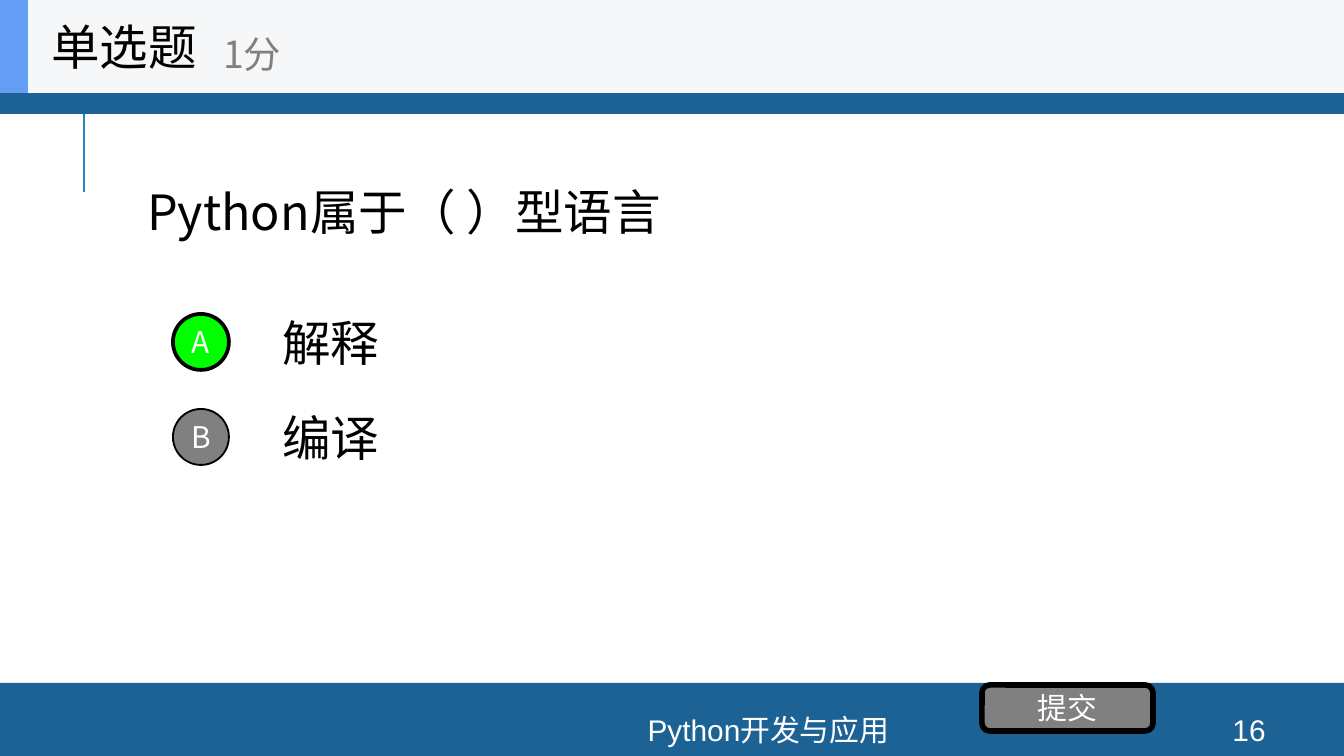
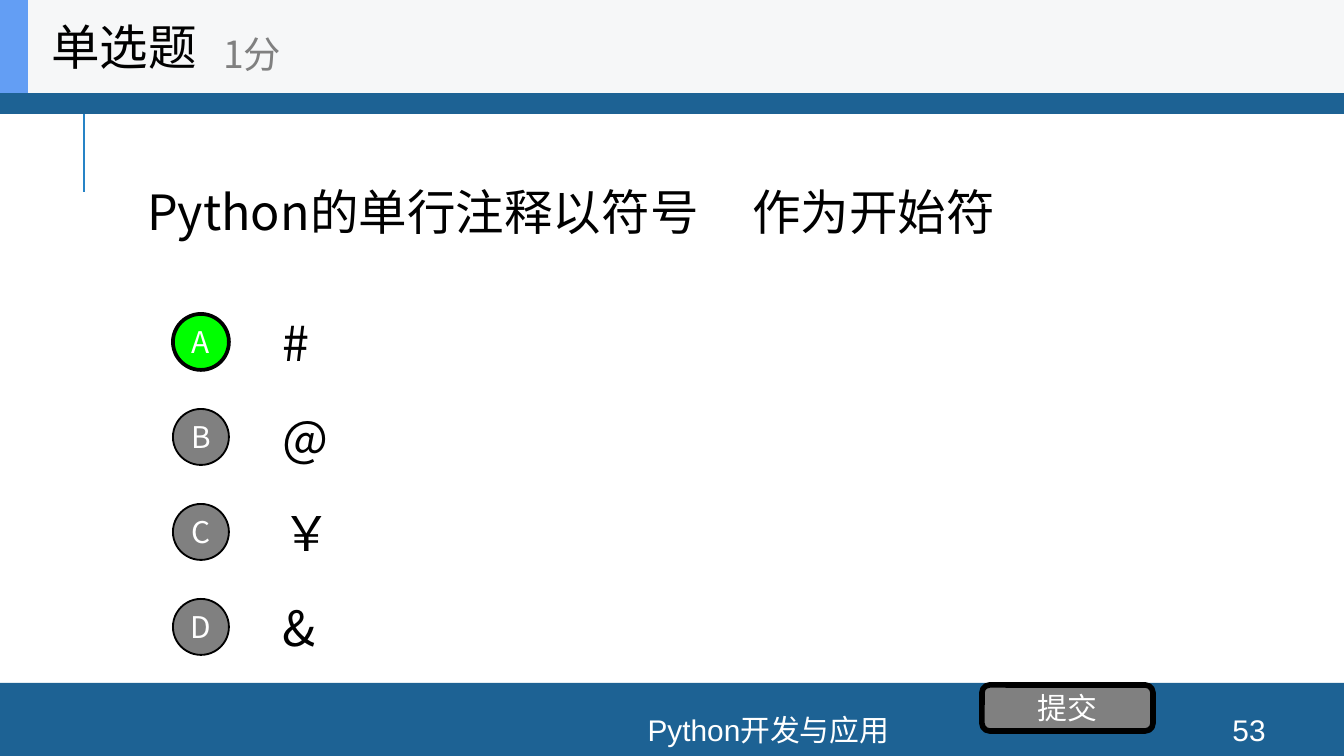
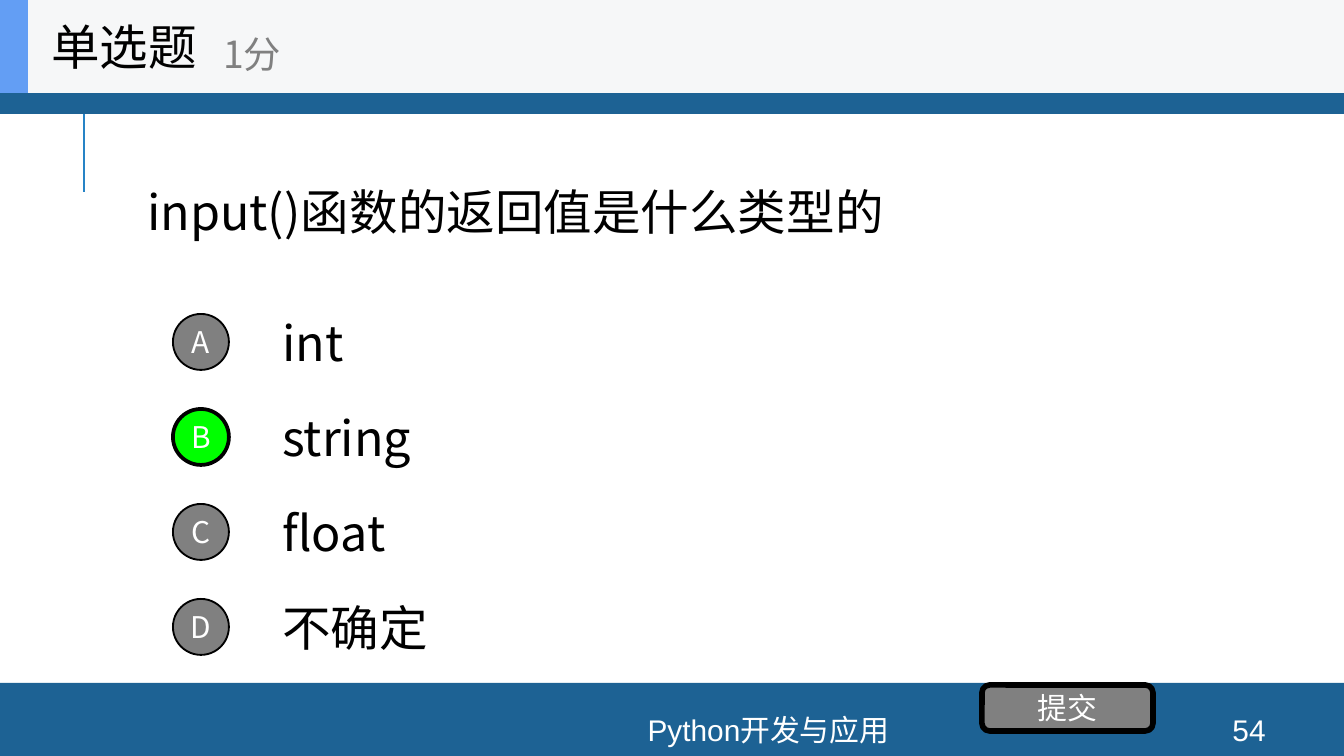
from dataclasses import dataclass

from lxml.etree import SubElement
from pptx import Presentation
from pptx.dml.color import RGBColor
from pptx.enum.shapes import MSO_CONNECTOR, MSO_SHAPE
from pptx.enum.text import MSO_ANCHOR, PP_ALIGN
from pptx.oxml.ns import qn
from pptx.util import Emu, Pt

EMU_PER_PX = 914400 / 134.4
WIDTH, HEIGHT = 1344, 756


def px(length):
    return Emu(round(length * EMU_PER_PX))


@dataclass(frozen=True)
class Theme:
    # Colours
    band: str = "1D6294"
    rule: str = "2683C6"
    header: str = "F6F7F8"
    accent: str = "639EF4"
    correct: str = "00FF00"
    gray: str = "808080"
    ink: str = "000000"
    white: str = "FFFFFF"
    # Fonts and type sizes
    body_font: str = "Noto Sans CJK SC"
    footer_font: str = "Arial"
    large: int = 26
    medium: int = 20
    small: int = 16


class QuizDeck:
    def __init__(self, theme):
        self.theme = theme
        self.presentation = Presentation()
        self.presentation.slide_width = px(WIDTH)
        self.presentation.slide_height = px(HEIGHT)
        self.slide = None

    def new_slide(self):
        self.slide = self.presentation.slides.add_slide(self.presentation.slide_layouts[6])

    def set_text(self, frame, text, size, color, font=None, align=PP_ALIGN.LEFT, tab=None):
        frame.word_wrap = True
        frame.vertical_anchor = MSO_ANCHOR.MIDDLE
        paragraph = frame.paragraphs[0]
        paragraph.text = text
        paragraph.alignment = align
        properties = paragraph._p.get_or_add_pPr()
        if tab:
            stops = SubElement(properties, qn("a:tabLst"))
            SubElement(stops, qn("a:tab"), pos=str(px(tab)), algn="l")
        paragraph.font.size = Pt(size)
        paragraph.font.color.rgb = RGBColor.from_string(color)
        paragraph.font.name = font or self.theme.body_font
        # East Asian typeface for the Chinese characters
        SubElement(properties.find(qn("a:defRPr")), qn("a:ea"), typeface=self.theme.body_font)

    def text(self, box, text, size, color, **style):
        frame = self.slide.shapes.add_textbox(*map(px, box)).text_frame
        frame.margin_top = frame.margin_bottom = 0
        self.set_text(frame, text, size, color, **style)

    def shape(self, kind, box, fill, outline=0, label=None):
        shape = self.slide.shapes.add_shape(kind, *map(px, box))
        shape.shadow.inherit = False
        shape.fill.solid()
        shape.fill.fore_color.rgb = RGBColor.from_string(fill)
        if outline:
            shape.line.color.rgb = RGBColor.from_string(self.theme.ink)
            shape.line.width = Pt(outline)
        else:
            shape.line.fill.background()
        if label:
            frame = shape.text_frame
            frame.margin_left = frame.margin_right = 0
            frame.margin_top = frame.margin_bottom = 0
            self.set_text(frame, label, self.theme.small, self.theme.white,
                          align=PP_ALIGN.CENTER)

    def line(self, start, end, color, width):
        line = self.slide.shapes.add_connector(
            MSO_CONNECTOR.STRAIGHT, *map(px, (*start, *end)))
        line.line.color.rgb = RGBColor.from_string(color)
        line.line.width = Pt(width)
        SubElement(line._element.spPr, qn("a:effectLst"))

    def frame(self, page):
        theme = self.theme
        # Bands and rule
        self.line((84, 192), (84, 91), theme.rule, 1.5)
        self.shape(MSO_SHAPE.RECTANGLE, (0, 683, WIDTH, 73), theme.band)
        self.shape(MSO_SHAPE.RECTANGLE, (0, -4, WIDTH, 118), theme.band)
        # Footer
        for box, text in (((351, 714, 835, 31), "Python开发与应用"),
                          ((1195, 714, 108, 31), str(page))):
            self.text(box, text, theme.small, theme.white,
                      font=theme.footer_font, align=PP_ALIGN.CENTER)

    def option(self, index, answer, is_correct):
        theme = self.theme
        offset = 95 * index
        self.text((269, 306 + offset, 941, 72), answer, theme.large, theme.ink)
        self.shape(MSO_SHAPE.OVAL, (173, 314 + offset, 56, 56),
                   theme.correct if is_correct else theme.gray,
                   outline=2 if is_correct else 1, label="ABCD"[index])

    def header(self):
        theme = self.theme
        self.shape(MSO_SHAPE.RECTANGLE, (0, 0, WIDTH, 93), theme.header)
        self.shape(MSO_SHAPE.RECTANGLE, (0, 0, 28, 93), theme.accent)
        self.text((38, 0, 280, 93), "单选题", theme.large, theme.ink)
        self.text((210, 16, 336, 75), "1分", theme.medium, theme.gray)

    def quiz(self, page, question, answers, correct, blank_end=None):
        theme = self.theme
        self.new_slide()
        self.frame(page)
        self.text((134, 93, 1075, 237), question, theme.large, theme.ink, tab=blank_end)
        for index, answer in enumerate(answers):
            self.option(index, answer, index == correct)
        # Submit button
        self.shape(MSO_SHAPE.ROUNDED_RECTANGLE, (982, 685, 171, 46),
                   theme.gray, outline=3, label="提交")
        self.header()


def main():
    deck = QuizDeck(Theme())
    deck.quiz(16, "Python属于（ ）型语言", ["解释", "编译"], correct=0)
    deck.quiz(53, "Python的单行注释以符号\t作为开始符", ["#", "@", "￥", "&"],
              correct=0, blank_end=605)
    deck.quiz(54, "input()函数的返回值是什么类型的",
              ["int", "string", "float", "不确定"], correct=1)
    deck.presentation.save("out.pptx")


if __name__ == "__main__":
    main()
